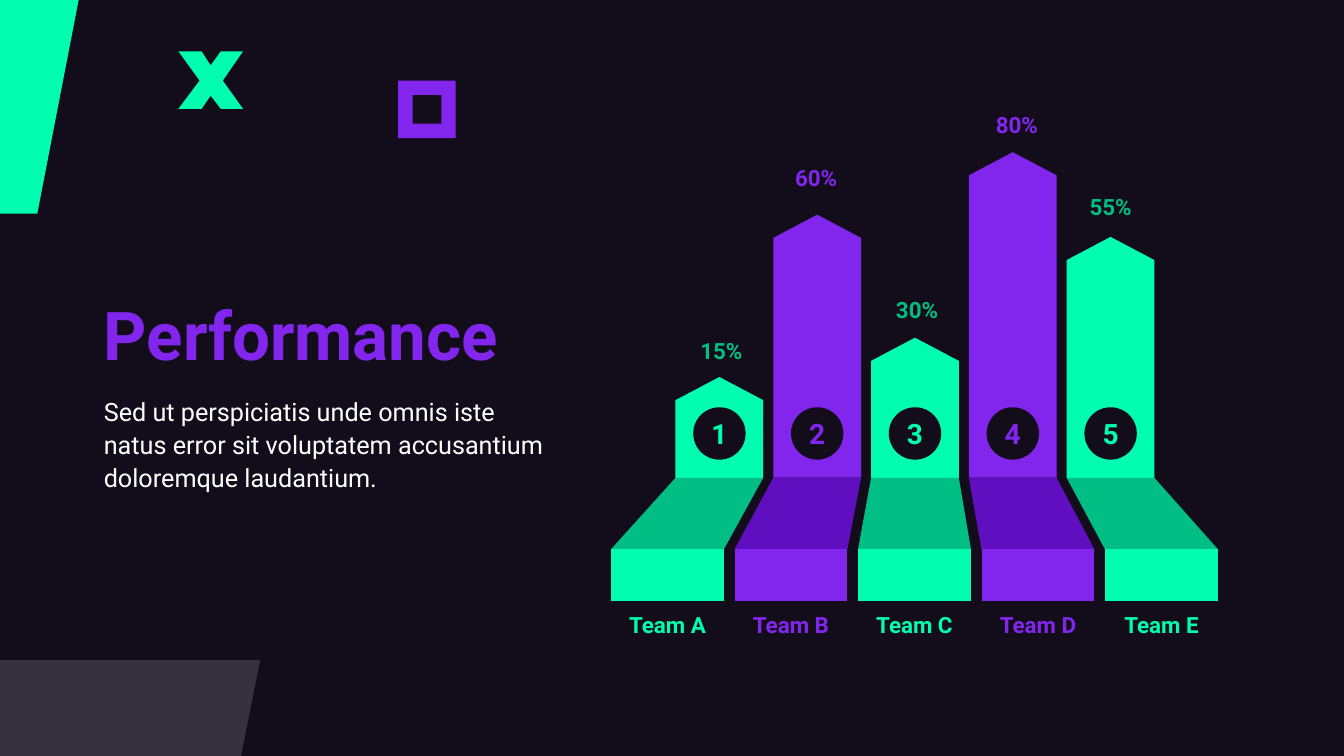
import pptx
import pptx.util
import pptx.dml.color
import pptx.enum.shapes
import pptx.enum.text
import pptx.oxml.ns
import lxml.etree

Inches = pptx.util.Inches
ALIGN = pptx.enum.text.PP_ALIGN
ANCHOR = pptx.enum.text.MSO_ANCHOR
SHAPE = pptx.enum.shapes.MSO_SHAPE

DARK, WHITE = "130D1B", "FFFFFF"
GREEN, GREEN_SHADE = "01FDB0", "01BE84"
PURPLE, PURPLE_SHADE = "8226EE", "600FC0"


def color(value):
    return pptx.dml.color.RGBColor.from_string(value)


class SlideBuilder:
    font = "Roboto"

    def __init__(self, page):
        self.page = page

    def background(self, fill):
        self.page.background.fill.solid()
        self.page.background.fill.fore_color.rgb = color(fill)

    def paint(self, shape, fill, opacity=None):
        shape.shadow.inherit = False
        shape.line.fill.background()
        shape.fill.solid()
        shape.fill.fore_color.rgb = color(fill)
        if opacity is not None:
            tint = shape.element.spPr.find(".//" + pptx.oxml.ns.qn("a:srgbClr"))
            alpha = lxml.etree.SubElement(tint, pptx.oxml.ns.qn("a:alpha"))
            alpha.set("val", str(opacity * 1000))

    def polygon(self, points, fill, opacity=None):
        corners = [(Inches(x), Inches(y)) for x, y in points]
        outline = self.page.shapes.build_freeform(*corners[0])
        outline.add_line_segments(corners[1:], close=True)
        self.paint(outline.convert_to_shape(), fill, opacity)

    def preset(self, kind, left, top, size, fill):
        shape = self.page.shapes.add_shape(
            kind, Inches(left), Inches(top), Inches(size), Inches(size))
        self.paint(shape, fill)
        return shape

    def label(self, shape, text, size, ink, bold=True, align=ALIGN.CENTER,
              anchor=ANCHOR.TOP, margin=None, spacing=None):
        frame = shape.text_frame
        frame.text = text
        frame.word_wrap = True
        frame.vertical_anchor = anchor
        if margin is not None:
            frame.margin_left = frame.margin_right = Inches(margin)
            frame.margin_top = frame.margin_bottom = Inches(margin)
        for para in frame.paragraphs:
            para.alignment = align
            para.line_spacing = spacing
            for span in para.runs:
                span.font.name = self.font
                span.font.size = pptx.util.Pt(size)
                span.font.bold = bold
                span.font.color.rgb = color(ink)

    def text(self, left, top, width, height, text, size, ink, **style):
        box = self.page.shapes.add_textbox(
            Inches(left), Inches(top), Inches(width), Inches(height))
        self.label(box, text, size, ink, **style)


deck = pptx.Presentation()
deck.slide_width, deck.slide_height = Inches(13.33), Inches(7.5)
slide = SlideBuilder(deck.slides.add_slide(deck.slide_layouts[6]))
slide.background(DARK)

# Corner decorations
slide.polygon([(0, 0), (0.78, 0), (0.37, 2.12), (0, 2.12)], GREEN)
slide.polygon([(0, 6.55), (2.58, 6.55), (2.39, 7.5), (0, 7.5)], WHITE, opacity=15)
square = slide.preset(SHAPE.FRAME, 3.95, 0.8, 0.57, PURPLE)
square.adjustments[0] = 0.25
slide.polygon([(1.77, 0.51), (2, 0.51), (2.09, 0.65), (2.19, 0.51),
               (2.41, 0.51), (2.21, 0.8), (2.41, 1.08), (2.19, 1.08),
               (2.09, 0.95), (2, 1.08), (1.77, 1.08), (1.98, 0.8)], GREEN)

# Title and description
slide.text(1.03, 1.7, 4.8, 2.02, "Performance", 48, PURPLE, align=ALIGN.LEFT,
           anchor=ANCHOR.BOTTOM, margin=0, spacing=0.9)
slide.text(1.03, 3.9, 4.8, 1.38,
           "Sed ut perspiciatis unde omnis iste \v"
           "natus error sit voluptatem accusantium \v"
           "doloremque laudantium.",
           18, WHITE, bold=False, align=ALIGN.LEFT, margin=0, spacing=1.1)

# Folded bars: team, share, top of the bar, left and top of the share label
TEAMS = [
    ("Team A", "15%", 3.74, 6.68, 3.3),
    ("Team B", "60%", 2.13, 7.62, 1.58),
    ("Team C", "30%", 3.35, 8.62, 2.89),
    ("Team D", "80%", 1.51, 9.61, 1.05),
    ("Team E", "55%", 2.35, 10.54, 1.87),
]
BAR_LEFT, BAR_STEP, BAR_WIDTH, ROOF = 6.7, 0.97, 0.87, 0.23
BASE_LEFT, BASE_WIDTH = 6.06, 1.12
BASE_STEP = (10.96 - BASE_LEFT) / (len(TEAMS) - 1)
FOLD, BASE_TOP, BASE_BOTTOM = 4.74, 5.45, 5.96
BADGE, BADGE_TOP = 0.52, 4.04
LABEL_WIDTH, LABEL_HEIGHT = 1.26, 0.37

for index, (team, share, peak, share_left, share_top) in enumerate(TEAMS):
    is_purple = index % 2 == 1
    fill = PURPLE if is_purple else GREEN
    shade = PURPLE_SHADE if is_purple else GREEN_SHADE
    share_ink = PURPLE if is_purple else GREEN_SHADE
    left = BAR_LEFT + index * BAR_STEP
    right = left + BAR_WIDTH
    middle = (left + right) / 2
    base_left = BASE_LEFT + index * BASE_STEP
    base_right = base_left + BASE_WIDTH

    # Upright bar, sloping fold and front base
    slide.polygon([(middle, peak), (right, peak + ROOF), (right, FOLD),
                   (left, FOLD), (left, peak + ROOF)], fill)
    slide.polygon([(left, FOLD), (right, FOLD),
                   (base_right, BASE_TOP), (base_left, BASE_TOP)], shade)
    slide.polygon([(base_left, BASE_TOP), (base_right, BASE_TOP),
                   (base_right, BASE_BOTTOM), (base_left, BASE_BOTTOM)], fill)

    # Number badge and labels
    badge = slide.preset(SHAPE.OVAL, middle - BADGE / 2, BADGE_TOP, BADGE, DARK)
    slide.label(badge, str(index + 1), 20, fill, anchor=ANCHOR.MIDDLE, margin=0)
    slide.text(share_left, share_top, 0.95, LABEL_HEIGHT, share, 16, share_ink)
    slide.text((base_left + base_right - LABEL_WIDTH) / 2, 6.01,
               LABEL_WIDTH, LABEL_HEIGHT, team, 16, fill)

deck.save("out.pptx")
